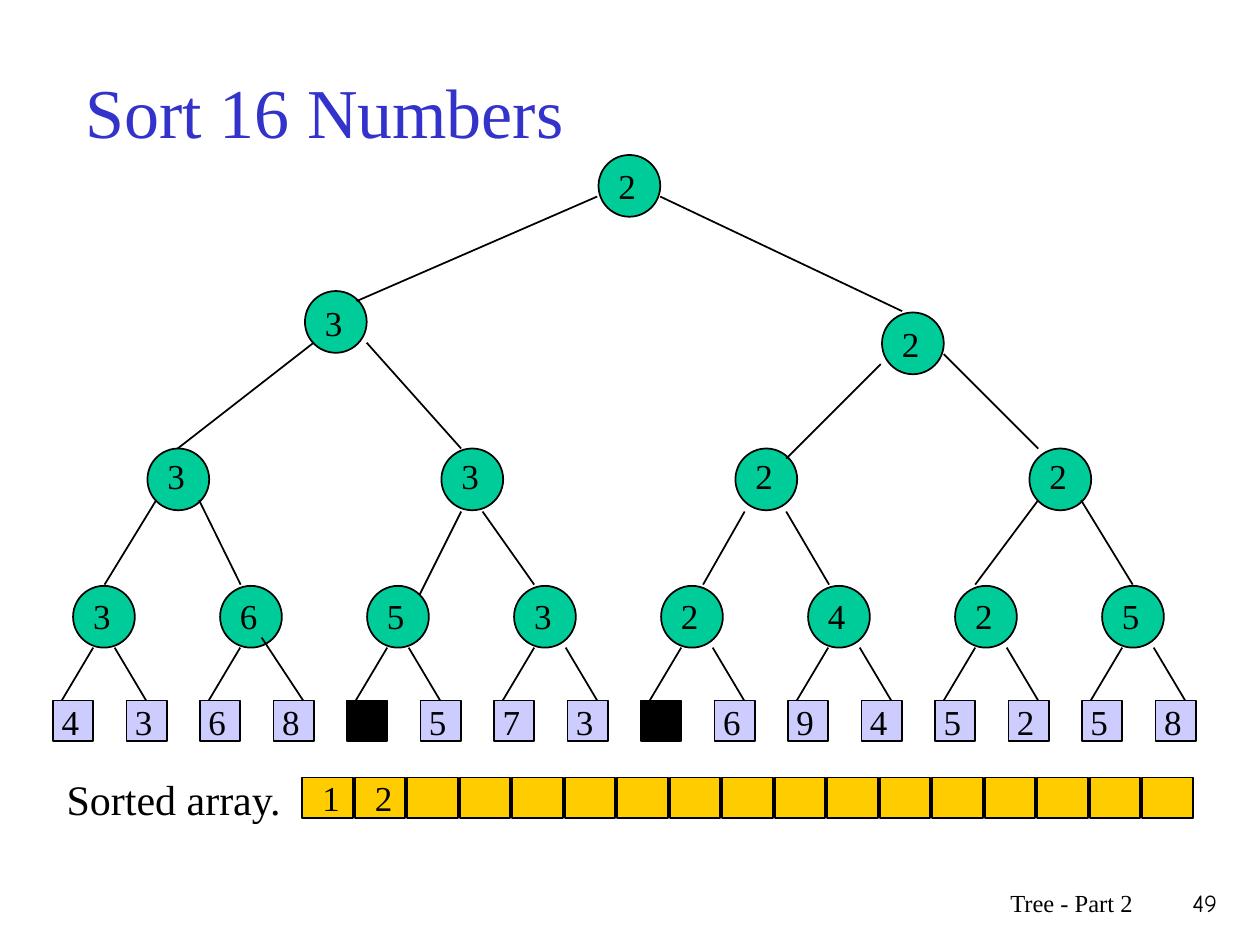
from lxml.etree import SubElement
from pptx import Presentation
from pptx.dml.color import RGBColor
from pptx.enum.shapes import MSO_CONNECTOR, MSO_SHAPE
from pptx.enum.text import MSO_ANCHOR, MSO_AUTO_SIZE, PP_ALIGN
from pptx.oxml.ns import qn
from pptx.util import Inches, Pt

BLACK = RGBColor(0x00, 0x00, 0x00)
BLUE = RGBColor(0x33, 0x33, 0xCC)
GREEN = RGBColor(0x00, 0xCC, 0x99)
LILAC = RGBColor(0xCC, 0xCC, 0xFF)
GOLD = RGBColor(0xFF, 0xCC, 0x00)
SERIF = "Times New Roman"

deck = Presentation()
deck.slide_width, deck.slide_height = Inches(10), Inches(7.5)
page = deck.slides.add_slide(deck.slide_layouts[5])
shapes = page.shapes


def add_shape(kind, left, top, width, height, color):
    shape = shapes.add_shape(kind, Inches(left), Inches(top), Inches(width), Inches(height))
    shape.shadow.inherit = False
    shape.fill.solid()
    shape.fill.fore_color.rgb = color
    shape.line.color.rgb = BLACK
    shape.line.width = Pt(1)


def add_text(text, left, top, width=0.34, height=0.43, size=20, font=SERIF, align=PP_ALIGN.LEFT):
    box = shapes.add_textbox(Inches(left), Inches(top), Inches(width), Inches(height))
    box.text_frame.word_wrap = len(text) > 1
    box.text_frame.auto_size = MSO_AUTO_SIZE.NONE
    para = box.text_frame.paragraphs[0]
    para.alignment = align
    span = para.add_run()
    span.text = text
    span.font.size = Pt(size)
    span.font.name = font
    span.font.color.rgb = BLACK


title = shapes.title
title.left, title.top = Inches(0.58), Inches(0.25)
title.width, title.height = Inches(8.5), Inches(1.25)
title.text_frame.vertical_anchor = MSO_ANCHOR.MIDDLE
para = title.text_frame.paragraphs[0]
para.alignment = PP_ALIGN.LEFT
span = para.add_run()
span.text = "Sort 16 Numbers"
span.font.size = Pt(40)
span.font.name = SERIF
span.font.color.rgb = BLUE

leaf_values = "4368 573 6945258"
for index, value in enumerate(leaf_values):
    left = 0.42 + index * 7 / 12
    used = value == " "
    add_shape(MSO_SHAPE.RECTANGLE, left, 5.56, 0.32, 0.32, BLACK if used else LILAC)
    if not used:
        add_text(value, left - 0.03, 5.51)

nodes = [("2", 4.75, 1.23, 0.03), ("3", 2.42, 2.31, 0.03), ("2", 7, 2.48, 0.03)]
nodes += [(value, 1.17 + index * 7 / 3, 3.56, 0) for index, value in enumerate("3322")]
nodes += [(value, 0.58 + index * 7 / 6, 4.65, 0.02) for index, value in enumerate("36532425")]
for value, left, top, label_drop in nodes:
    add_shape(MSO_SHAPE.OVAL, left, top, 0.49, 0.49, GREEN)
    add_text(value, left + 0.06, top + label_drop)

edges = [
    (4.74, 1.56, 2.83, 2.39), (5.24, 1.56, 7.16, 2.47),
    (2.49, 2.72, 1.41, 3.56), (2.91, 2.72, 3.66, 3.56),
    (6.99, 2.89, 6.24, 3.64), (7.49, 2.81, 8.24, 3.56),
    (1.24, 3.97, 0.83, 4.64), (1.58, 3.97, 1.91, 4.64),
    (3.66, 4.06, 3.33, 4.72), (3.83, 4.06, 4.24, 4.64),
    (5.91, 4.06, 5.58, 4.64), (6.24, 4.06, 6.58, 4.64),
    (8.24, 3.97, 7.74, 4.64), (8.58, 3.97, 8.99, 4.64),
]
right_edges = [(0.33, 5.14, 0.58), (0.33, 5.06, 0.66), (0.33, 5.14, 0.58)]
right_edges += [(0.41, 5.14, 0.66)] * 5
for index, (start, top, end) in enumerate(right_edges):
    left = 0.58 + index * 7 / 6
    edges.append((left + 0.16, 5.14, left - 0.09, 5.56))
    edges.append((left + start, top, left + end, 5.56))
for edge in edges:
    line = shapes.add_connector(MSO_CONNECTOR.STRAIGHT, *[Inches(value) for value in edge])
    line.line.color.rgb = BLACK
    line.line.width = Pt(1)
    SubElement(line._element.spPr, qn("a:effectLst"))

for index in range(17):
    add_shape(MSO_SHAPE.RECTANGLE, 2.4 + index * 5 / 12, 6.17, 0.4, 0.32, GOLD)
for index, value in enumerate("12"):
    add_text(value, 2.46 + index * 5 / 12, 6.11)

add_text("Sorted array.", 0.43, 6.09, 2.12, 0.5, 24)
add_text("Tree - Part 2", 5.92, 7, 3.17, 0.5, 14, align=PP_ALIGN.RIGHT)
add_text("49", 9.08, 7, 0.68, 0.5, 14, "Comic Neue", PP_ALIGN.RIGHT)

deck.save("out.pptx")
